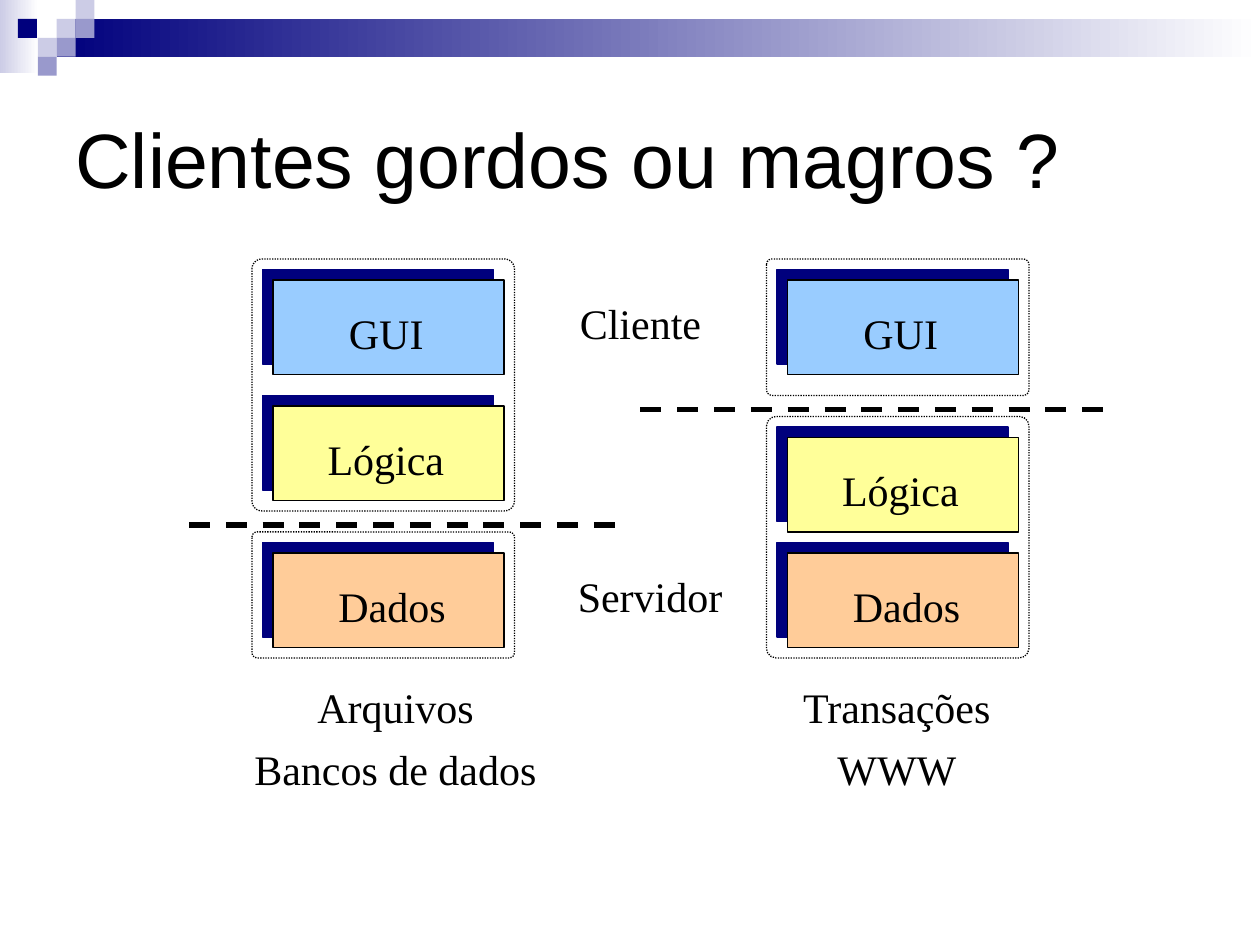
from lxml.etree import SubElement
from pptx import Presentation
from pptx.dml.color import RGBColor
from pptx.enum.dml import MSO_LINE
from pptx.enum.shapes import MSO_CONNECTOR, MSO_SHAPE
from pptx.enum.text import MSO_ANCHOR, PP_ALIGN
from pptx.oxml.ns import qn
from pptx.util import Pt

BLACK = RGBColor(0x00, 0x00, 0x00)
WHITE = RGBColor(0xFF, 0xFF, 0xFF)
NAVY = RGBColor(0x00, 0x00, 0x7D)
PALE = RGBColor(0xCC, 0xCC, 0xE6)
LILAC = RGBColor(0x99, 0x99, 0xCC)
BLUE = RGBColor(0x99, 0xCC, 0xFF)
CREAM = RGBColor(0xFF, 0xFF, 0x99)
PEACH = RGBColor(0xFF, 0xCC, 0x99)

CELL = 10.8
# Layer name: fill, text offset from the tile's middle
LAYERS = {"GUI": (BLUE, -1.3), "Lógica": (CREAM, -1.5), "Dados": (PEACH, 2)}


class Board:
    serif, sans = "Times New Roman", "Arial"
    size, big = 24, 44
    tile_w, tile_h = 132, 54

    def __init__(self, slide):
        self.slide = slide

    def shape(self, kind, x, y, w, h):
        item = self.slide.shapes.add_shape(kind, Pt(x), Pt(y), Pt(w), Pt(h))
        item.shadow.inherit = False
        return item

    def block(self, x, y, w, h, color):
        item = self.shape(MSO_SHAPE.RECTANGLE, x, y, w, h)
        item.fill.solid()
        item.fill.fore_color.rgb = color
        item.line.fill.background()
        return item

    def fade(self, x, y, w, h, color):
        """Draw a band that fades to white from left to right."""
        fill = self.block(x, y, w, h, color).fill
        fill.gradient()
        fill.gradient_angle = 0
        for stop, shade in zip(fill.gradient_stops, (color, WHITE)):
            stop.color.rgb = shade

    def stroke(self, line, width, dash=None):
        line.color.rgb = BLACK
        line.width = Pt(width)
        if dash:
            line.dash_style = dash

    def text(self, x, y, w, h, rows, font=serif, size=size,
             align=PP_ALIGN.CENTER, wrap=False, lead=None):
        box = self.slide.shapes.add_textbox(Pt(x), Pt(y), Pt(w), Pt(h))
        frame = box.text_frame
        frame.word_wrap = wrap
        frame.vertical_anchor = MSO_ANCHOR.MIDDLE
        for i, row in enumerate(rows):
            para = frame.add_paragraph() if i else frame.paragraphs[0]
            para.alignment = align
            if lead:
                para.line_spacing = lead
            if i:
                para.space_before = Pt(15)
            run = para.add_run()
            run.text = row
            run.font.name = font
            run.font.size = Pt(size)
            run.font.color.rgb = BLACK

    def title(self, words):
        self.text(36, 36, 648, 108, [words], self.sans, self.big,
                  PP_ALIGN.LEFT, wrap=True)

    def tile(self, x, y, name):
        """Draw a layer with a hard shadow to its upper left."""
        color, shift = LAYERS[name]
        item = self.block(x, y, self.tile_w, self.tile_h, color)
        self.stroke(item.line, 0.75)
        effects = item._element.spPr.find(qn("a:effectLst"))
        shadow = SubElement(effects, qn("a:outerShdw"), blurRad="0",
                            dist=str(Pt(8.5)), dir=str(225 * 60000),
                            algn="ctr", rotWithShape="0")
        SubElement(shadow, qn("a:srgbClr"), val=str(NAVY))
        self.text(x + shift, y + 12, self.tile_w, 36, [name])

    def frame(self, x, y, h):
        item = self.shape(MSO_SHAPE.ROUNDED_RECTANGLE, x, y, 150, h)
        item.adjustments[0] = 0.04
        item.fill.background()
        self.stroke(item.line, 0.75, MSO_LINE.ROUND_DOT)

    def split(self, left, right, y):
        """Draw the dashed border between client and server."""
        item = self.slide.shapes.add_connector(
            MSO_CONNECTOR.STRAIGHT, Pt(left), Pt(y), Pt(right), Pt(y))
        self.stroke(item.line, 3, MSO_LINE.DASH)
        SubElement(item._element.spPr, qn("a:effectLst"))


def main():
    deck = Presentation()
    deck.slide_width, deck.slide_height = Pt(720), Pt(540)
    board = Board(deck.slides.add_slide(deck.slide_layouts[6]))

    board.fade(0, 0, 22, 42, PALE)
    board.fade(32.4, CELL, 687.6, 21.6, NAVY)
    for col, row, color in [(3, 1, PALE), (4, 0, PALE), (4, 1, LILAC),
                            (2, 2, PALE), (0.95, 1, NAVY), (3, 2, LILAC),
                            (2, 3, LILAC)]:
        board.block(col * CELL, row * CELL, CELL, CELL, color)

    board.title("Clientes gordos ou magros ?")
    board.text(318, 166.5, 96, 36, ["Cliente"])
    board.text(318, 322.5, 107, 36, ["Servidor"])

    # Left edge, tile tops, frames as (top, height)
    for left, tops, frames in [
            (144, (160, 232, 316), [(148, 144), (304, 72)]),
            (438, (160, 250, 316), [(148, 78), (238, 138)])]:
        for name, top in zip(LAYERS, tops):
            board.tile(left + 12, top, name)
        for top, height in frames:
            board.frame(left, top, height)

    board.text(133, 394, 186, 62, ["Arquivos", "Bancos de dados"], lead=0.7)
    board.text(446, 394, 133, 62, ["Transações", "WWW"], lead=0.7)
    board.split(108, 354, 300)
    board.split(366, 636, 234)
    deck.save("out.pptx")


if __name__ == "__main__":
    main()
